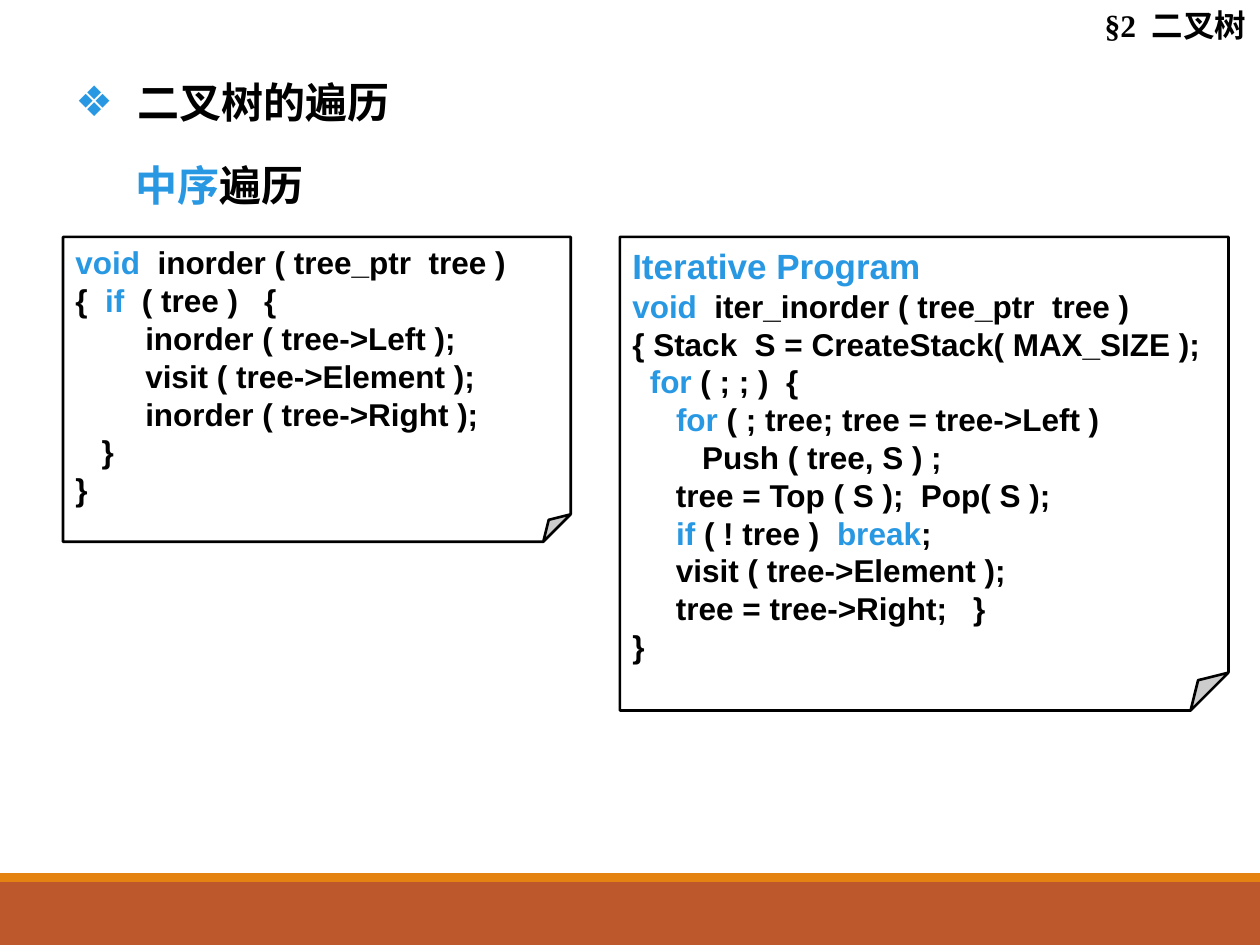
from lxml import etree
from pptx import Presentation
from pptx.dml.color import RGBColor
from pptx.enum.shapes import MSO_SHAPE
from pptx.enum.text import MSO_ANCHOR, PP_ALIGN
from pptx.oxml.ns import qn
from pptx.util import Inches, Pt

RECTANGLE, NOTE = MSO_SHAPE.RECTANGLE, MSO_SHAPE.FOLDED_CORNER
MIDDLE, TOP = MSO_ANCHOR.MIDDLE, MSO_ANCHOR.TOP
LEFT, RIGHT = PP_ALIGN.LEFT, PP_ALIGN.RIGHT

COLUMN = ROW = Inches(1)
COLUMNS, ROWS = 10, 7.5
COLORS = {"paper": "FFFFFF", "ink": "000000", "accent": "2998E3",
          "band": "BD582C", "stripe": "E48312"}
CODE = {"name": "Arial", "size": Pt(18), "bold": True}
CODE_TITLE = CODE | {"size": Pt(20)}
HEADING = {"name": "Times New Roman", "size": Pt(24), "bold": True}
SECTION = HEADING | {"size": Pt(18)}

RECURSIVE = """`void`  inorder ( tree_ptr  tree )
{  `if`  ( tree )   {
        inorder ( tree->Left );
        visit ( tree->Element );
        inorder ( tree->Right );
   }
}"""
ITERATIVE = """`void`  iter_inorder ( tree_ptr  tree )
{ Stack  S = CreateStack( MAX_SIZE );
  `for` ( ; ; )  {
     `for` ( ; tree; tree = tree->Left )
        Push ( tree, S ) ;
     tree = Top ( S );  Pop( S );
     `if` ( ! tree )  `break`;
     visit ( tree->Element );
     tree = tree->Right;   }
}"""


def color(name):
    """Return the named colour."""
    return RGBColor.from_string(COLORS[name])


def place(column, row, columns, rows):
    """Turn grid units into left, top, width and height."""
    return (int(column * COLUMN), int(row * ROW),
            int(columns * COLUMN), int(rows * ROW))


def write_line(para, line, style, align=LEFT):
    """Write a line whose backquoted spans take the accent colour."""
    para.alignment = align
    for index, words in enumerate(line.split("`")):
        if words:
            span = para.add_run()
            span.text = words
            for key, value in style.items():
                setattr(span.font, key, value)
            span.font.color.rgb = color("accent" if index % 2 else "ink")


def write_lines(box, lines, anchor):
    """Fill a box with one paragraph per line, style and alignment."""
    frame = box.text_frame
    frame.word_wrap = True
    frame.vertical_anchor = anchor
    for index, line in enumerate(lines):
        para = frame.add_paragraph() if index else frame.paragraphs[0]
        write_line(para, *line)


def add_text(page, cells, line, style, align=LEFT):
    """Add a one-line text box and return its paragraph."""
    box = page.shapes.add_textbox(*place(*cells))
    write_lines(box, [(line, style, align)], TOP)
    return box.text_frame.paragraphs[0]


def add_bullet(para, symbol, indent):
    """Give a paragraph an accent-coloured hanging bullet."""
    properties = para._p.get_or_add_pPr()
    properties.set("marL", str(indent))
    properties.set("indent", str(-indent))
    tint = etree.SubElement(properties, qn("a:buClr"))
    etree.SubElement(tint, qn("a:srgbClr"), val=COLORS["accent"])
    etree.SubElement(properties, qn("a:buFont"), typeface="Arial")
    etree.SubElement(properties, qn("a:buChar"), char=symbol)


def add_panel(page, kind, cells, fill):
    """Add a flat filled shape without an outline."""
    panel = page.shapes.add_shape(kind, *place(*cells))
    panel.shadow.inherit = False
    panel.fill.solid()
    panel.fill.fore_color.rgb = color(fill)
    panel.line.fill.background()
    return panel


def set_fold(note, share):
    """Set the size of the folded corner as a share of the short side."""
    guides = note._element.spPr.find(qn("a:prstGeom")).find(qn("a:avLst"))
    etree.SubElement(guides, qn("a:gd"), name="adj",
                     fmla=f"val {round(share * 100000)}")


def add_code(page, cells, fold, code, title=None):
    """Add a folded note that holds a code listing."""
    note = add_panel(page, NOTE, cells, "paper")
    set_fold(note, fold)
    note.line.color.rgb = color("ink")
    note.line.width = Pt(1.5)
    lines = [(f"`{title}`", CODE_TITLE)] if title else []
    lines += [(line, CODE) for line in code.splitlines()]
    write_lines(note, lines, MIDDLE)


def main():
    """Build the slide on inorder traversal."""
    deck = Presentation()
    deck.slide_width = int(COLUMNS * COLUMN)
    deck.slide_height = int(ROWS * ROW)
    page = deck.slides.add_slide(deck.slide_layouts[6])
    add_panel(page, RECTANGLE, (0, 7, COLUMNS, 0.5), "band")
    add_panel(page, RECTANGLE, (0, 6.93, COLUMNS, 0.07), "stripe")
    add_text(page, (7.58, 0, 2.41, 0.4), "§2  二叉树", SECTION, RIGHT)
    title = add_text(page, (0.5, 0.56, 5.92, 0.5), "二叉树的遍历", HEADING)
    add_bullet(title, "❖", Inches(0.49))
    add_text(page, (0.98, 1.22, 3.08, 0.5), "`中序`遍历", HEADING)
    add_code(page, (0.5, 1.88, 4.03, 2.42), 0.09, RECURSIVE)
    add_code(page, (4.92, 1.88, 4.83, 3.76), 0.08, ITERATIVE, "Iterative Program")
    deck.save("out.pptx")


if __name__ == "__main__":
    main()
